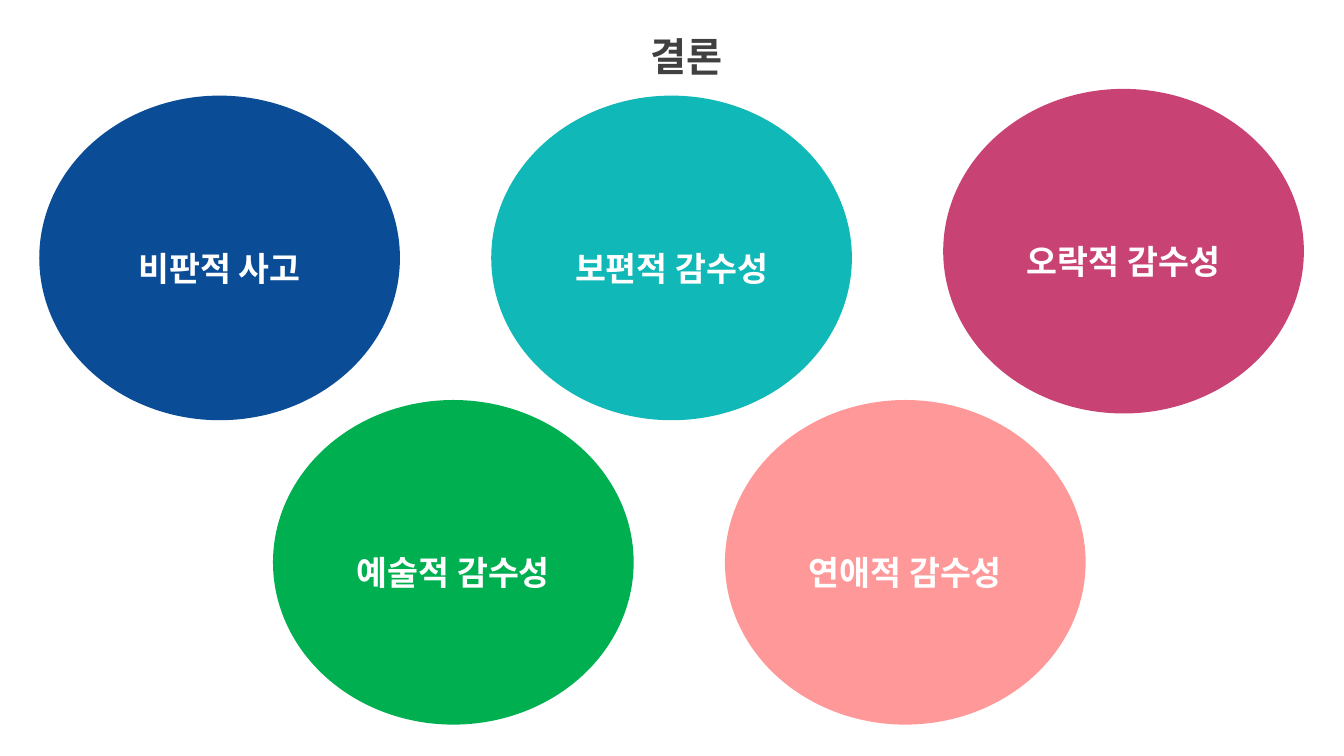
from dataclasses import dataclass

from lxml.etree import SubElement
from pptx import Presentation
from pptx.dml.color import RGBColor
from pptx.enum.shapes import MSO_SHAPE
from pptx.enum.text import MSO_ANCHOR, MSO_AUTO_SIZE, PP_ALIGN
from pptx.oxml.ns import qn
from pptx.slide import Slide
from pptx.text.text import TextFrame
from pptx.util import Cm, Pt

FONT = "Noto Sans CJK KR"
CIRCLE_WIDTH, CIRCLE_HEIGHT = 9.09, 8.18
COLUMN_STEP = 11.39
UPPER_LEFT, LOWER_LEFT = 0.99, 6.88
UPPER_TOP, RAISED_TOP, LOWER_TOP = 2.41, 2.24, 10.08


@dataclass
class Circle:
    label: str
    left: float
    top: float
    fill: str


CIRCLES = [
    Circle("비판적 사고", UPPER_LEFT, UPPER_TOP, "0A4C96"),
    Circle("보편적 감수성", UPPER_LEFT + COLUMN_STEP, UPPER_TOP, "10B8B7"),
    Circle("오락적 감수성", UPPER_LEFT + 2 * COLUMN_STEP, RAISED_TOP, "C84374"),
    Circle("예술적 감수성", LOWER_LEFT, LOWER_TOP, "00B050"),
    Circle("연애적 감수성", LOWER_LEFT + COLUMN_STEP, LOWER_TOP, "FF9999"),
]


def color(value: str) -> RGBColor:
    return RGBColor.from_string(value)


def write(frame: TextFrame, text: str, size: float, text_color: str) -> None:
    frame.word_wrap = True
    para = frame.paragraphs[0]
    para.text = text
    para.alignment = PP_ALIGN.CENTER
    para.line_spacing = 1.5
    font = para.font
    font.size = Pt(size)
    font.bold = True
    font.color.rgb = color(text_color)
    font.name = FONT
    # Hangul takes its typeface from the East Asian font
    defaults = para._p.pPr.find(qn("a:defRPr"))
    SubElement(defaults, qn("a:ea"), typeface=FONT)


def add_title(page: Slide, text: str) -> None:
    box = page.shapes.add_textbox(Cm(11.43), Cm(0.1), Cm(11.76), Cm(1.83))
    write(box.text_frame, text, 28, "404040")
    box.text_frame.auto_size = MSO_AUTO_SIZE.SHAPE_TO_FIT_TEXT


def add_circle(page: Slide, circle: Circle) -> None:
    shape = page.shapes.add_shape(
        MSO_SHAPE.OVAL, Cm(circle.left), Cm(circle.top),
        Cm(CIRCLE_WIDTH), Cm(CIRCLE_HEIGHT))
    shape.shadow.inherit = False
    shape.fill.solid()
    shape.fill.fore_color.rgb = color(circle.fill)
    shape.line.fill.background()
    shape.text_frame.vertical_anchor = MSO_ANCHOR.MIDDLE
    write(shape.text_frame, circle.label, 24, "FFFFFF")


def main() -> None:
    deck = Presentation()
    deck.slide_width, deck.slide_height = Cm(33.87), Cm(19.05)
    page = deck.slides.add_slide(deck.slide_layouts[6])

    # Heading
    add_title(page, "결론")

    # Three circles above, two below
    for circle in CIRCLES:
        add_circle(page, circle)

    deck.save("out.pptx")


if __name__ == "__main__":
    main()
